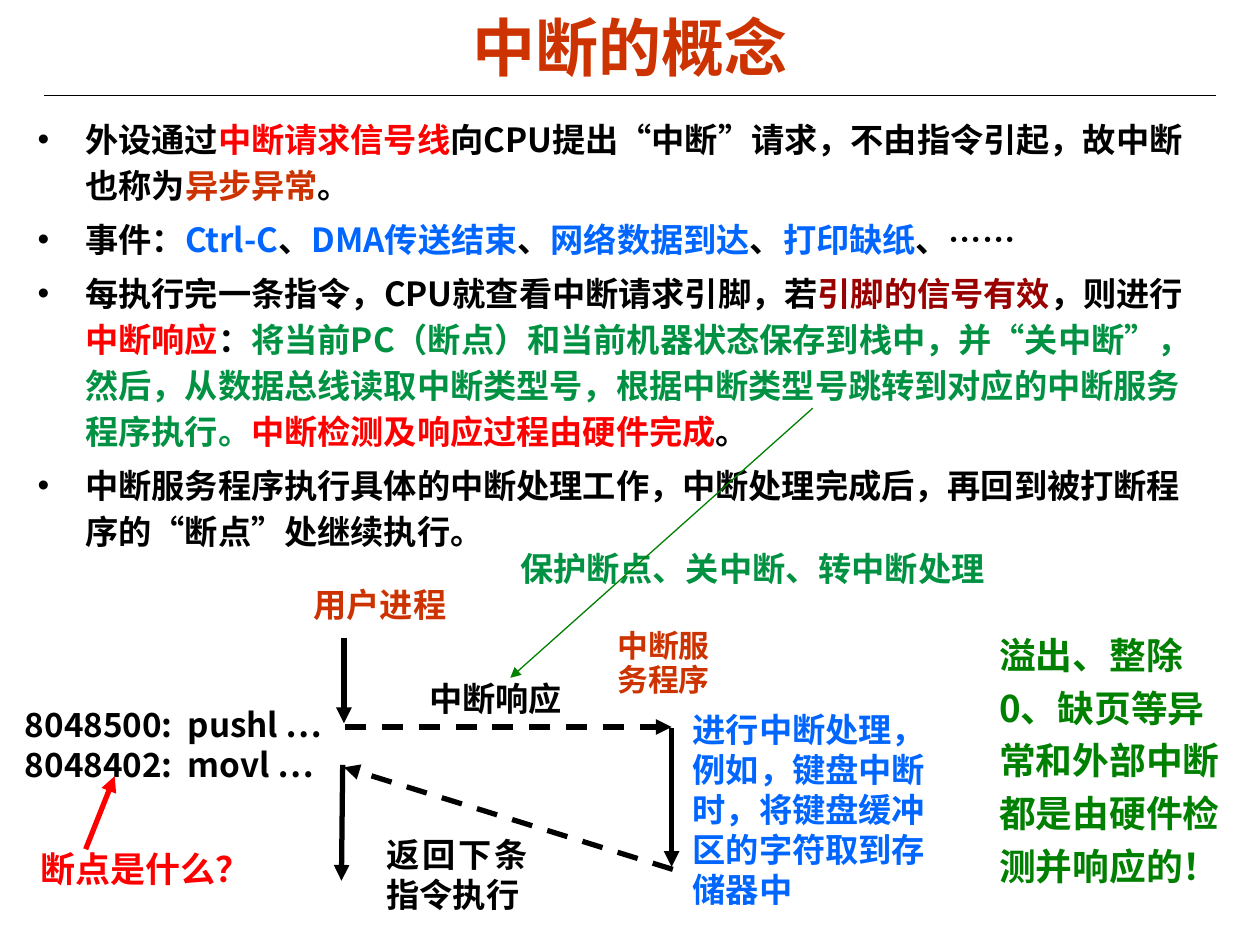
from lxml import etree
from pptx import Presentation
from pptx.dml.color import RGBColor
from pptx.enum import dml, shapes, text
from pptx.oxml import ns
from pptx.util import Inches, Pt

BLACK = RGBColor(0x00, 0x00, 0x00)
RED = RGBColor(0xFF, 0x00, 0x00)
RUST = RGBColor(0xCC, 0x33, 0x00)
MAROON = RGBColor(0x99, 0x00, 0x00)
BLUE = RGBColor(0x00, 0x66, 0xFF)
GREEN = RGBColor(0x00, 0x80, 0x00)
JADE = RGBColor(0x00, 0x92, 0x42)
CJK = "Noto Sans CJK SC"
LATIN = "Arial"
JUSTIFY = text.PP_ALIGN.JUSTIFY
NO_INSETS = (0, 0, 0, 0)
INSETS = (0.1, 0.05, 0.1, 0.05)

# Content: a paragraph is a list of (text, colour) runs
TITLE = [[("中断的概念", RUST)]]
BULLETS = [
    [("外设通过", BLACK), ("中断请求信号线", RED),
     ("向CPU提出“中断”请求，不由指令引起，故中断也称为", BLACK),
     ("异步异常", RUST), ("。", BLACK)],
    [("事件：", BLACK), ("Ctrl-C", BLUE), ("、", BLACK), ("DMA传送结束", BLUE),
     ("、", BLACK), ("网络数据到达", BLUE), ("、", BLACK), ("打印缺纸", BLUE),
     ("、……", BLACK)],
    [("每执行完一条指令，CPU就查看中断请求引脚，若", BLACK),
     ("引脚的信号有效", MAROON), ("，则进行", BLACK), ("中断响应", RED),
     ("：", BLACK),
     ("将当前PC（断点）和当前机器状态保存到栈中，并“关中断”，然后，"
      "从数据总线读取中断类型号，根据中断类型号跳转到对应的中断服务程序执行。", JADE),
     ("中断检测及响应过程由硬件完成", RED), ("。", BLACK)],
    [("中断服务程序执行具体的中断处理工作，中断处理完成后，"
      "再回到被打断程序的“断点”处继续执行。", BLACK)],
]
CODE = [[("8048500:  pushl …", BLACK)], [("8048402:  movl …", BLACK)]]

# Diagram labels: (left, top, width, height), paragraphs, format
LABELS = [
    ((7.93, 4.95, 1.77, 2.1),
     [[("溢出、整除0、缺页等异常和外部中断都是由硬件检测并响应的！", GREEN)]],
     {"size": 21, "spacing": 1.2, "insets": NO_INSETS}),
    ((2.39, 4.64, 1.41, 0.23), [[("用户进程", RUST)]],
     {"align": JUSTIFY, "wrap": False, "insets": (0.1, 0, 0.1, 0)}),
    ((4.8, 4.96, 1.08, 0.72), [[("中断服务程序", RUST)]],
     {"size": 17.6, "spacing": 0.9}),
    ((3.31, 5.33, 1.25, 0.41), [[("中断响应", BLACK)]],
     {"align": JUSTIFY, "wrap": False}),
    ((5.4, 5.58, 2.24, 1.68),
     [[("进行中断处理，例如，键盘中断时，将键盘缓冲区的字符取到存储器中", BLUE)]], {}),
    ((2.97, 6.57, 1.32, 0.73), [[("返回下条指令执行", BLACK)]], {"align": JUSTIFY}),
    ((0.1, 5.54, 2.9, 0.74), CODE, {"align": JUSTIFY}),
    ((0.22, 6.68, 2.08, 0.44), [[("断点是什么？", RED)]], {"size": 20, "font": LATIN}),
    ((4.03, 4.3, 4.4, 0.42), [[("保护断点、关中断、转中断处理", JADE)]],
     {"font": LATIN}),
]

# Lines: start, end, colour, width, dashed
ARROWS = [
    ((2.74, 5.77), (5.33, 5.77), BLACK, 3, True),    # to the service routine
    ((5.33, 5.78), (5.33, 6.88), BLACK, 3, False),   # service routine runs
    ((5.34, 6.9), (2.73, 6.09), BLACK, 3, True),     # return
    ((2.72, 6.07), (2.71, 6.99), BLACK, 3, False),   # user process resumes
    ((2.73, 5.06), (2.73, 5.74), BLACK, 3, False),   # user process starts
    ((0.68, 6.74), (0.91, 6.16), RED, 3, False),     # breakpoint pointer
    ((6.45, 3.24), (4.05, 5.38), GREEN, 0.75, False),  # response pointer
]


def add_bullet(paragraph, indent):
    properties = paragraph._p.get_or_add_pPr()
    properties.set("marL", str(Inches(indent)))
    properties.set("indent", str(-Inches(indent)))
    colour = etree.SubElement(properties, ns.qn("a:buClr"))
    etree.SubElement(colour, ns.qn("a:srgbClr"), val=str(BLACK))
    etree.SubElement(properties, ns.qn("a:buFont"), typeface=LATIN)
    etree.SubElement(properties, ns.qn("a:buChar"), char="•")


def add_text(slide, box, paragraphs, size=19, font=CJK, align=None, spacing=None,
             gap=0, wrap=True, bullet=False, insets=INSETS,
             anchor=text.MSO_ANCHOR.TOP):
    frame = slide.shapes.add_textbox(*map(Inches, box)).text_frame
    frame.word_wrap = wrap
    frame.vertical_anchor = anchor
    for side, inset in zip(("left", "top", "right", "bottom"), insets):
        setattr(frame, f"margin_{side}", Inches(inset))
    for index, runs in enumerate(paragraphs):
        paragraph = frame.add_paragraph() if index else frame.paragraphs[0]
        layout = {"alignment": align, "line_spacing": spacing,
                  "space_before": Pt(gap if index else 0)}
        for name, value in layout.items():
            setattr(paragraph, name, value)
        if bullet:
            add_bullet(paragraph, 0.38)
        for words, colour in runs:
            run = paragraph.add_run()
            run.text = words
            run.font.color.rgb = colour
            for name, value in {"size": Pt(size), "bold": True, "name": font}.items():
                setattr(run.font, name, value)
            etree.SubElement(run._r.get_or_add_rPr(), ns.qn("a:ea"), typeface=CJK)


def add_line(slide, start, end, colour, width, dashed=False, arrow=True):
    line = slide.shapes.add_connector(
        shapes.MSO_CONNECTOR.STRAIGHT, *map(Inches, start + end))
    line.line.color.rgb = colour
    line.line.width = Pt(width)
    if dashed:
        line.line.dash_style = dml.MSO_LINE.DASH
    if arrow:
        etree.SubElement(line.line._get_or_add_ln(), ns.qn("a:tailEnd"),
                         type="triangle")
    etree.SubElement(line._element.spPr, ns.qn("a:effectLst"))


def main():
    presentation = Presentation()
    presentation.slide_width = Inches(10)
    presentation.slide_height = Inches(7.5)
    slide = presentation.slides.add_slide(presentation.slide_layouts[6])

    # Title and rule
    add_line(slide, (0.35, 0.76), (9.65, 0.76), BLACK, 0.75, arrow=False)
    add_text(slide, (0.5, 0.06, 9, 0.61), TITLE, size=36, font=LATIN,
             align=text.PP_ALIGN.CENTER, anchor=text.MSO_ANCHOR.MIDDLE)

    # Bulleted explanation
    add_text(slide, (0.2, 0.85, 9.49, 3.68), BULLETS, spacing=1.15, gap=4.8,
             bullet=True)

    # Interrupt flow diagram
    for box, paragraphs, style in LABELS:
        add_text(slide, box, paragraphs, **style)
    for arrow in ARROWS:
        add_line(slide, *arrow)

    presentation.save("out.pptx")


if __name__ == "__main__":
    main()
